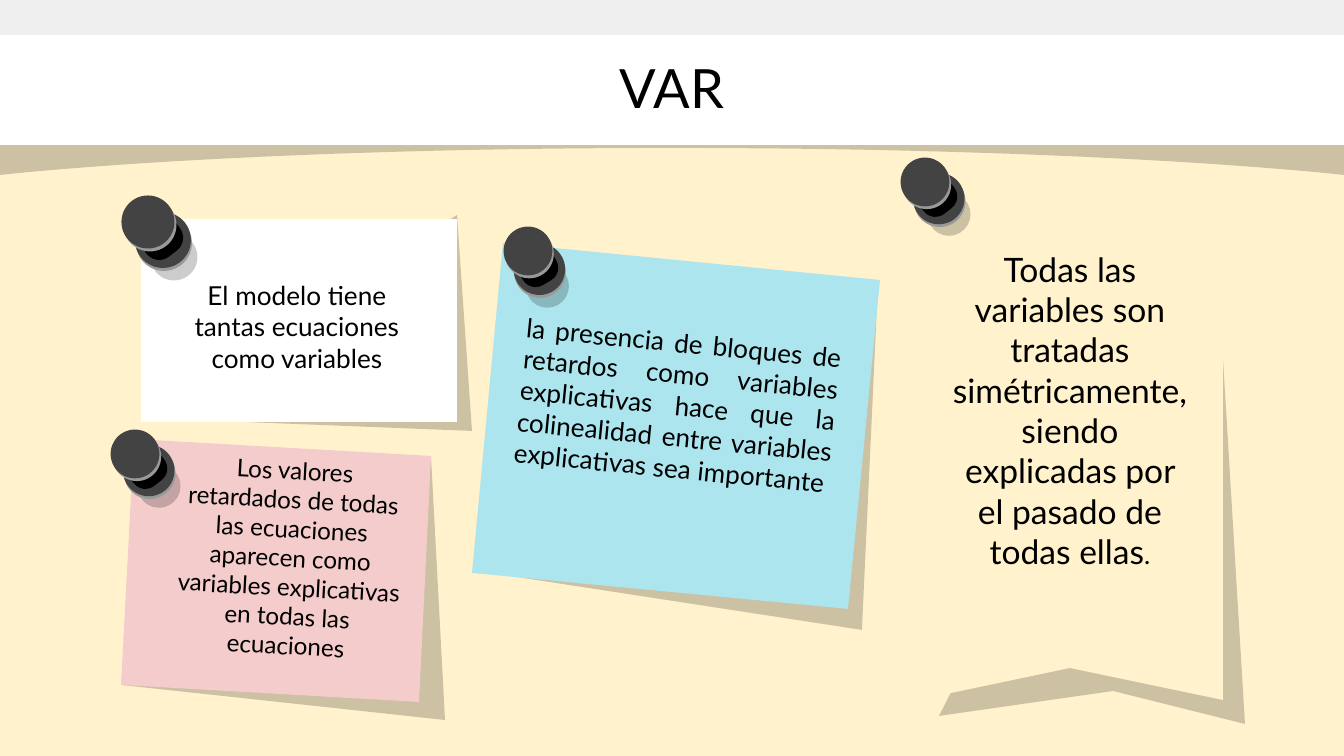
from math import cos, radians, sin

from lxml import etree
from pptx import Presentation
from pptx.dml.color import RGBColor
from pptx.enum.shapes import MSO_SHAPE
from pptx.enum.text import MSO_ANCHOR, MSO_AUTO_SIZE, PP_ALIGN
from pptx.oxml.ns import qn
from pptx.util import Pt

OVAL, RECT, ROUND = MSO_SHAPE.OVAL, MSO_SHAPE.RECTANGLE, MSO_SHAPE.ROUNDED_RECTANGLE
TOP, MID = MSO_ANCHOR.TOP, MSO_ANCHOR.MIDDLE
MITTE, BLOCK = PP_ALIGN.CENTER, PP_ALIGN.JUSTIFY

WIDE, HIGH = 1344, 756
PX = 9144000 / WIDE
FONT = "Lato"
HUES = {"cream": "FFF2CC", "white": "FFFFFF", "pale": "EFEFEF", "blue": "ACE5EE",
        "pink": "F4CCCC", "black": "000000", "rim": "999999", "dark": "434343"}
SHADE = 20  # shadow opacity in percent

# Texts: box (left, top, width, height), turn, anchor, alignment, runs (text, size)
TEXTS = [
    ((145, 71, 1054, 31), 0, MID, MITTE, [("VAR", 29)]),
    ((169, 266, 256, 94), 0, TOP, MITTE,
     [("El modelo tiene tantas ecuaciones como variables", 14)]),
    ((499, 313, 343, 329), 5.7, TOP, BLOCK,
     [("la presencia de bloques de retardos como variables explicativas hace "
       "que la colinealidad entre variables explicativas sea importante", 14)]),
    ((937, 215, 266, 390), 0, MID, MITTE,
     [("Todas las variables son tratadas simétricamente, siendo explicadas "
       "por el pasado de todas ellas", 18), (".", 14)]),
    ((163, 442, 254, 245), 3.1, TOP, MITTE,
     [("Los valores retardados de todas las ecuaciones aparecen como "
       "variables explicativas en todas las ecuaciones", 13)]),
]

# Notes: hue, shadow corners, paper corners
NOTES = [
    ("blue", [(878, 285), (477, 571), (862, 630)],
     [(503, 243), (472, 573), (848, 609), (880, 280)]),
    ("pink", [(431, 456), (121, 685), (445, 720)],
     [(134, 439), (121, 685), (419, 702), (431, 456)]),
    ("white", [(457, 215), (141, 418), (472, 431)],
     [(141, 219), (141, 422), (457, 422), (457, 219)]),
    ("cream", [(1212, 176), (939, 716), (1113, 691), (1245, 724)],
     [(918, 176), (918, 700), (1070, 668), (1223, 700), (1223, 176)]),
]

# Pins: head centre, scale, turn
PINS = [((528, 251), 0.92, 7.8), ((148, 222), 1, 0),
        ((135, 454), 0.92, 0), ((925, 182), 0.92, 0)]
# Pin parts: kind, offset from head, size, hue, opacity
PARTS = [
    (OVAL, (26, 35), (47, 47), "black", SHADE),
    (OVAL, (16, 21), (56, 56), "rim", 100),
    (OVAL, (15, 18), (56, 56), "dark", 100),
    (ROUND, (6, 7), (42, 62), "black", 100),
    (OVAL, (2, 3), (53, 53), "rim", 100),
    (OVAL, (0, 0), (53, 53), "dark", 100),
]
TILT = -38


def px(*vals):
    return [round(v * PX) for v in vals]


def paint(shape, hue, alpha=100):
    shape.shadow.inherit = False
    shape.line.fill.background()
    shape.fill.solid()
    shape.fill.fore_color.rgb = RGBColor.from_string(HUES[hue])
    if alpha < 100:
        tone = shape.fill._xPr.find(".//" + qn("a:srgbClr"))
        etree.SubElement(tone, qn("a:alpha"), val=str(alpha * 1000))
    return shape


def poly(shapes, dots, hue, alpha=100):
    dots = [px(*dot) for dot in dots]
    path = shapes.build_freeform(*dots[0], scale=1)
    path.add_line_segments(dots[1:], close=True)
    paint(path.convert_to_shape(), hue, alpha)


def arc(steps=40):
    """Left half of the curved board edge, a cubic from edge to middle."""
    ctrl = [(0, 175), (0, 175), (234, 148), (WIDE / 2, 148)]
    for i in range(steps + 1):
        t = i / steps
        mix = [(1 - t) ** 3, 3 * t * (1 - t) ** 2, 3 * t * t * (1 - t), t ** 3]
        yield tuple(sum(m * c[k] for m, c in zip(mix, ctrl)) for k in (0, 1))


def write(holder, box, turn, anchor, align, runs):
    spots = dict(zip(("left", "top", "width", "height"), px(*box)), rotation=turn)
    for key, val in spots.items():
        setattr(holder, key, val)
    frame = holder.text_frame
    pad = {"margin_" + side: Pt(7.2) for side in ("left", "right", "top", "bottom")}
    form = {"word_wrap": True, "auto_size": MSO_AUTO_SIZE.NONE,
            "vertical_anchor": anchor, **pad}
    for key, val in form.items():
        setattr(frame, key, val)
    para = frame.paragraphs[0]
    props = para._p.get_or_add_pPr()
    props.set("marL", "0")
    props.set("indent", "0")
    etree.SubElement(props, qn("a:buNone"))
    for key, val in {"alignment": align, "space_before": Pt(0), "line_spacing": 1.0}.items():
        setattr(para, key, val)
    for text, size in runs:
        run = para.add_run()
        run.text = text
        for key, val in {"name": FONT, "size": Pt(size), "bold": False}.items():
            setattr(run.font, key, val)
        run.font.color.rgb = RGBColor.from_string(HUES["black"])


def pin(shapes, head, scale, turn):
    c, s = cos(radians(turn)), sin(radians(turn))
    for kind, (dx, dy), size, hue, alpha in PARTS:
        w, h = (scale * v for v in size)
        x = head[0] + scale * (dx * c - dy * s)
        y = head[1] + scale * (dx * s + dy * c)
        part = shapes.add_shape(kind, *px(x - w / 2, y - h / 2, w, h))
        paint(part, hue, alpha)
        if kind == ROUND:
            part.adjustments[0] = 0.38
            part.rotation = TILT + turn


def main():
    deck = Presentation()
    deck.slide_width, deck.slide_height = px(WIDE, HIGH)
    slide = deck.slides.add_slide(deck.slide_layouts.get_by_name("Comparison"))
    shapes = slide.shapes
    holders = list(slide.placeholders)
    slide.background.fill.solid()
    slide.background.fill.fore_color.rgb = RGBColor.from_string(HUES["cream"])

    # Board edge and title bands
    left = list(arc())
    right = [(WIDE - x, y) for x, y in reversed(left[:-1])]
    poly(shapes, [(0, 142), *left, *right, (WIDE, 142)], "black", SHADE)
    for tall, hue in ((145, "white"), (35, "pale")):
        paint(shapes.add_shape(RECT, *px(0, 0, WIDE, tall)), hue)

    # Notes
    for hue, shade, paper in NOTES:
        poly(shapes, shade, "black", SHADE)
        poly(shapes, paper, hue)

    # Texts, raised above the notes
    for holder, text in zip(holders, TEXTS):
        write(holder, *text)
        shapes._spTree.append(holder._element)

    # Pins
    for item in PINS:
        pin(shapes, *item)

    deck.save("out.pptx")


if __name__ == "__main__":
    main()
